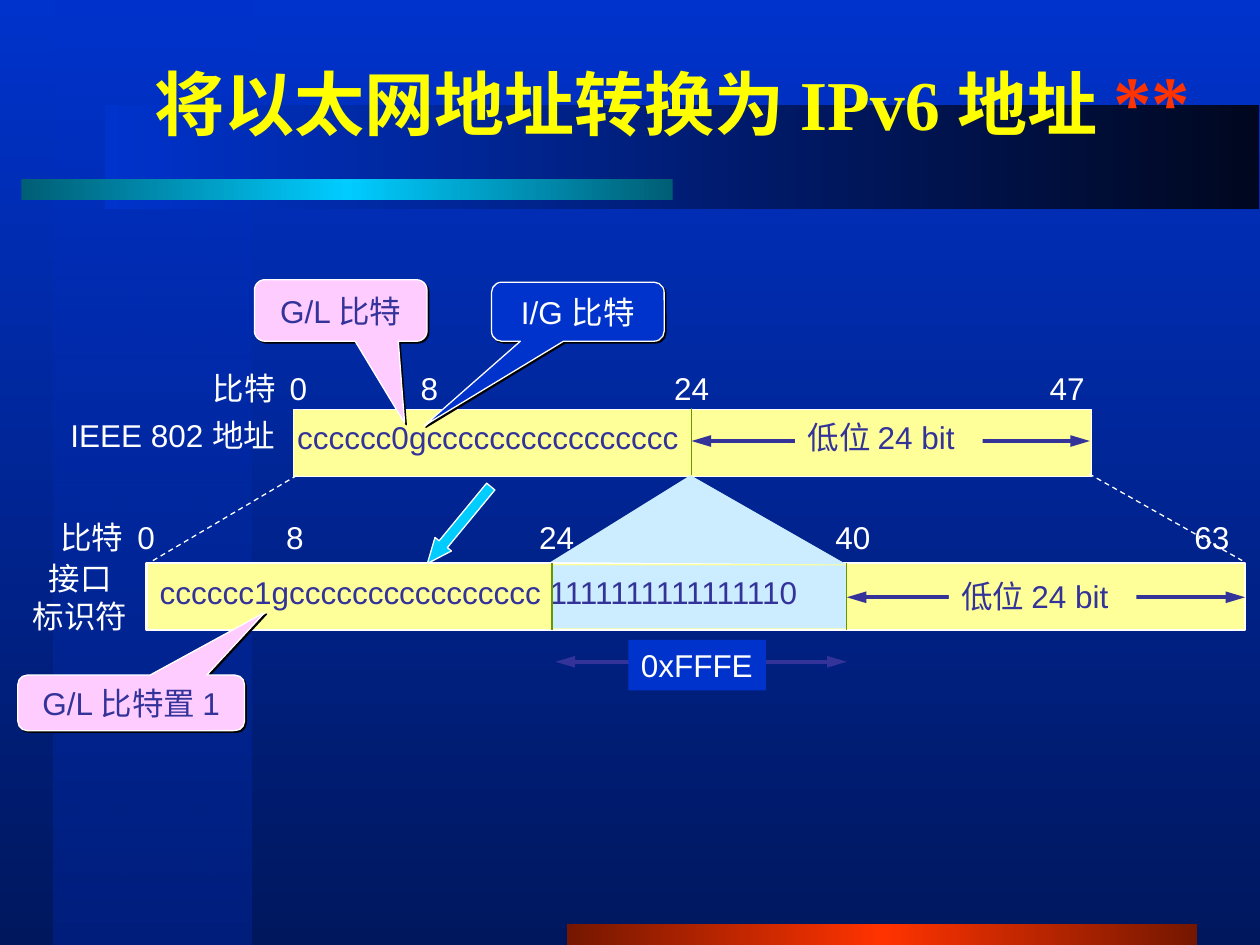
from lxml.etree import SubElement
from pptx import Presentation
from pptx.dml.color import RGBColor
from pptx.enum.dml import MSO_LINE
from pptx.enum.shapes import MSO_CONNECTOR, MSO_SHAPE
from pptx.enum.text import MSO_ANCHOR, MSO_AUTO_SIZE, PP_ALIGN
from pptx.oxml.ns import qn
from pptx.util import Cm, Pt

WHITE = RGBColor(0xFF, 0xFF, 0xFF)
BLACK = RGBColor(0x00, 0x00, 0x00)
YELLOW = RGBColor(0xFF, 0xFF, 0x01)
CREAM = RGBColor(0xFF, 0xFF, 0x99)
PINK = RGBColor(0xFF, 0xCC, 0xFF)
PALE = RGBColor(0xCC, 0xEC, 0xFF)
INDIGO = RGBColor(0x33, 0x33, 0x99)
GREEN = RGBColor(0x66, 0x99, 0x00)
BLUE = RGBColor(0x00, 0x33, 0xCC)
NAVY = RGBColor(0x00, 0x17, 0x5E)
DEEP = RGBColor(0x00, 0x1F, 0x7D)
NIGHT = RGBColor(0x00, 0x07, 0x1F)
CYAN = RGBColor(0x00, 0xCC, 0xFF)
TEAL = RGBColor(0x00, 0x5E, 0x75)
RED = RGBColor(0xFF, 0x33, 0x00)
MAROON = RGBColor(0x75, 0x17, 0x00)

BODY = {"name": "Arial", "size": Pt(18), "bold": False}
TITLE = {"name": "Times New Roman", "size": Pt(40), "bold": True}
STARS = {**TITLE, "size": Pt(44)}
FRAME = {"word_wrap": False, "auto_size": MSO_AUTO_SIZE.SHAPE_TO_FIT_TEXT}
FIXED = {"word_wrap": True, "auto_size": MSO_AUTO_SIZE.NONE}
CENTRED = {**FIXED, "vertical_anchor": MSO_ANCHOR.MIDDLE}


def apply(target, values):
    """Set every attribute in values on target."""
    for name, value in values.items():
        setattr(target, name, value)


def style(font, values, color):
    """Format a font and give it a colour."""
    apply(font, values)
    font.color.rgb = color


def gradient(fill, element, colors, angle, alpha=None):
    """Spread colors evenly over a gradient, the first with optional alpha."""
    fill.gradient()
    fill.gradient_angle = angle
    stops = next(element.iter(qn("a:gsLst")))
    for old in list(stops):
        stops.remove(old)
    for i, color in enumerate(colors):
        gs = SubElement(stops, qn("a:gs"), pos=str(100000 * i // (len(colors) - 1)))
        clr = SubElement(gs, qn("a:srgbClr"), val=str(color))
        if alpha and i == 0:
            SubElement(clr, qn("a:alpha"), val=str(alpha * 1000))


def add_box(s, kind, box, color=None, line=None, width=0.75, adj=()):
    """Add a preset shape with a flat fill and an optional outline."""
    sp = s.shapes.add_shape(kind, *map(Cm, box))
    sp.shadow.inherit = False
    if color is not None:
        sp.fill.solid()
        sp.fill.fore_color.rgb = color
    if line is None:
        sp.line.fill.background()
    else:
        sp.line.color.rgb = line
        sp.line.width = Pt(width)
    for i, value in enumerate(adj):
        sp.adjustments[i] = value
    return sp


def add_band(s, box, colors, angle, alpha=None):
    """Add a decorative gradient band."""
    sp = add_box(s, MSO_SHAPE.RECTANGLE, box)
    gradient(sp.fill, sp._element, colors, angle, alpha)


def add_text(s, box, text, color=WHITE, fill=None, align=PP_ALIGN.LEFT, tabs=()):
    """Add a text box, with tab stops in cm where columns are needed."""
    sp = s.shapes.add_textbox(*map(Cm, box))
    tf = sp.text_frame
    tf.text = text
    apply(tf, FIXED if tabs else FRAME)
    if fill is not None:
        sp.fill.solid()
        sp.fill.fore_color.rgb = fill
    for p in tf.paragraphs:
        p.alignment = align
        if tabs:
            lst = SubElement(p._p.get_or_add_pPr(), qn("a:tabLst"))
            for stop in tabs:
                SubElement(lst, qn("a:tab"), pos=str(Cm(stop)), algn="l")
        style(p.font, BODY, color)


def add_line(s, ends, color, width=0.75, dash=None, arrows=False):
    """Add a straight line, optionally dashed or with arrowheads at both ends."""
    cx = s.shapes.add_connector(MSO_CONNECTOR.STRAIGHT, *map(Cm, ends))
    cx.line.color.rgb = color
    cx.line.width = Pt(width)
    if dash:
        cx.line.dash_style = dash
    if arrows:
        for tag in ("a:headEnd", "a:tailEnd"):
            SubElement(cx.line._get_or_add_ln(), qn(tag), type="triangle", w="med", len="lg")
    SubElement(cx._element.spPr, qn("a:effectLst"))


def add_callout(s, box, adj, text, fill, color):
    """Add a rounded callout with a hard shadow."""
    sp = add_box(s, MSO_SHAPE.ROUNDED_RECTANGULAR_CALLOUT, box, fill, WHITE, adj=adj)
    effects = sp._element.spPr.find(qn("a:effectLst"))
    shadow = SubElement(effects, qn("a:outerShdw"), dist=str(Pt(1.4)), dir="2700000", algn="ctr", rotWithShape="0")
    SubElement(shadow, qn("a:srgbClr"), val=str(BLACK))
    tf = sp.text_frame
    tf.text = text
    apply(tf, CENTRED)
    p = tf.paragraphs[0]
    p.alignment = PP_ALIGN.CENTER
    style(p.font, BODY, color)


def add_wedge(s, points):
    """Add the pale triangle that opens the gap for the inserted bits."""
    start, *rest = [(Cm(x), Cm(y)) for x, y in points]
    builder = s.shapes.build_freeform(*start)
    builder.add_line_segments(rest, close=True)
    sp = builder.convert_to_shape()
    sp.shadow.inherit = False
    sp.fill.solid()
    sp.fill.fore_color.rgb = PALE
    sp.line.fill.background()


def add_title(s):
    """Place the title above the bands and format its two runs."""
    sp = s.shapes.title
    s.shapes._spTree.append(sp._element)
    apply(sp, dict(zip(("left", "top", "width", "height"), map(Cm, (2.34, 0.64, 22.43, 2.74)))))
    tf = sp.text_frame
    apply(tf, CENTRED)
    p = tf.paragraphs[0]
    p.alignment = PP_ALIGN.CENTER
    for text, values, color in (("将以太网地址转换为 IPv6 地址 ", TITLE, YELLOW), ("**", STARS, RED)):
        r = p.add_run()
        r.text = text
        style(r.font, values, color)


def main():
    """Build the slide."""
    prs = Presentation()
    prs.slide_width, prs.slide_height = Cm(25.4), Cm(19.05)
    s = prs.slides.add_slide(prs.slide_layouts[5])
    gradient(s.background.fill, s._element, (BLUE, NAVY), 270)
    add_band(s, (1.07, 0, 4.01, 19.05), (BLUE, DEEP), 270, alpha=50)
    add_band(s, (11.43, 18.62, 12.7, 0.43), (MAROON, RED, MAROON), 180)
    add_band(s, (2.11, 2.11, 23.27, 2.11), (NIGHT, BLUE), 180)
    add_band(s, (0.43, 3.61, 13.13, 0.43), (TEAL, CYAN, TEAL), 180)
    add_title(s)

    add_box(s, MSO_SHAPE.RECTANGLE, (5.92, 8.26, 16.08, 1.35), CREAM, WHITE)
    add_box(s, MSO_SHAPE.RECTANGLE, (2.95, 11.35, 22.15, 1.35), CREAM, WHITE, 1.5)
    add_box(s, MSO_SHAPE.RECTANGLE, (11.15, 11.4, 5.92, 1.27), PALE)
    for x1, x2, y in ((11.2, 17.07, 13.34), (17.07, 25.1, 12.04), (13.94, 21.97, 8.89)):
        add_line(s, (x1, y, x2, y), INDIGO, 2.25, arrows=True)
    add_text(s, (12.67, 12.9, 2.77, 1.02), "0xFFFE", fill=BLUE)
    for x, y in ((19.13, 11.51), (16.03, 8.31)):
        add_text(s, (x, y, 3.78, 1.02), "低位 24 bit", INDIGO, CREAM)
    add_wedge(s, ((13.92, 9.58), (11.1, 11.33), (17.07, 11.38)))

    add_text(s, (2.97, 11.43, 14.02, 1.02), "cccccc1gcccccccccccccccc 1111111111111110", INDIGO)
    add_text(s, (5.74, 8.31, 8.2, 1.02), "cccccc0gcccccccccccccccc", INDIGO)
    for x, y in ((13.94, 8.23), (17.07, 11.35), (11.13, 11.35)):
        add_line(s, (x, y, x, y + 1.35), GREEN)
    add_text(s, (4.04, 7.32, 18.39, 1.02), "比特\t0\t8\t24\t47", tabs=(1.55, 4.19, 9.3, 16.87))
    add_text(s, (0.97, 10.31, 24.38, 1.02), "比特\t0\t8\t24\t40\t63", tabs=(1.55, 4.55, 9.65, 15.62, 22.86))
    add_text(s, (1.17, 8.26, 4.78, 1.02), "IEEE 802 地址")
    add_text(s, (0.41, 11.15, 2.41, 1.78), "接口\n标识符", align=PP_ALIGN.CENTER)

    arrow = add_box(s, MSO_SHAPE.DOWN_ARROW, (9.04, 9.58, 0.43, 2.01), CYAN, WHITE, adj=(0.5, 1.17))
    arrow.rotation = 39.5
    for ends in ((21.95, 9.55, 25.04, 11.3), (5.99, 9.58, 3, 11.35)):
        add_line(s, ends, WHITE, dash=MSO_LINE.DASH)
    add_callout(s, (9.91, 5.69, 3.48, 1.19), (-0.89, 1.93, 0.17), "I/G 比特", BLUE, WHITE)
    add_callout(s, (5.13, 5.64, 3.48, 1.24), (0.37, 1.83, 0.17), "G/L 比特", PINK, INDIGO)
    add_callout(s, (0.36, 13.61, 4.57, 1.12), (0.59, -1.63, 0.17), "G/L 比特置 1", PINK, INDIGO)
    prs.save("out.pptx")


if __name__ == "__main__":
    main()
